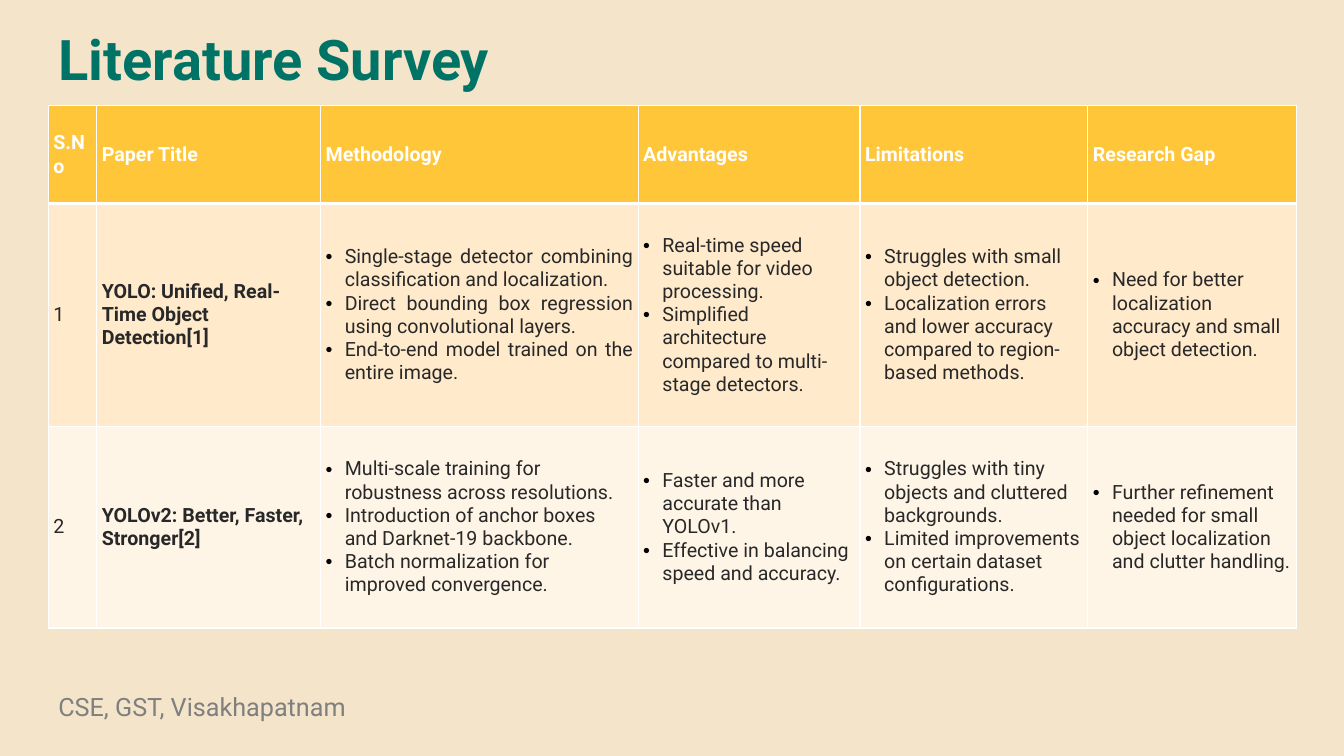
from lxml.etree import SubElement
from pptx import Presentation
from pptx.dml.color import RGBColor
from pptx.enum.text import MSO_ANCHOR, PP_ALIGN
from pptx.oxml.ns import qn
from pptx.util import Inches, Pt

TITLE = "Literature Survey"
FOOTER = "CSE, GST, Visakhapatnam"
HEADINGS = ["S.No", "Paper Title", "Methodology", "Advantages", "Limitations", "Research Gap"]
PAPERS = [
    ["1", "YOLO: Unified, Real-Time Object Detection[1]",
     ["Single-stage detector combining classification and localization.",
      "Direct bounding box regression using convolutional layers.",
      "End-to-end model trained on the entire image."],
     ["Real-time speed suitable for video processing.",
      "Simplified architecture compared to multi-stage detectors."],
     ["Struggles with small object detection.",
      "Localization errors and lower accuracy compared to region-based methods."],
     ["Need for better localization accuracy and small object detection."]],
    ["2", "YOLOv2: Better, Faster, Stronger[2]",
     ["Multi-scale training for robustness across resolutions.",
      "Introduction of anchor boxes and Darknet-19 backbone.",
      "Batch normalization for improved convergence."],
     ["Faster and more accurate than YOLOv1.",
      "Effective in balancing speed and accuracy."],
     ["Struggles with tiny objects and cluttered backgrounds.",
      "Limited improvements on certain dataset configurations."],
     ["Further refinement needed for small object localization and clutter handling."]],
]

SAND = RGBColor(0xF4, 0xE4, 0xC9)
TEAL = RGBColor(0x00, 0x73, 0x67)
GRAY = RGBColor(0x7F, 0x7F, 0x7F)
INK = RGBColor(0x28, 0x28, 0x28)
BLACK = RGBColor(0, 0, 0)
WHITE = RGBColor(0xFF, 0xFF, 0xFF)
ROW_FILLS = [RGBColor(0xFF, 0xC6, 0x39), RGBColor(0xFF, 0xEA, 0xCC), RGBColor(0xFF, 0xF5, 0xE7)]

FONT = "Roboto"
LEFT = 0.48
COLUMNS = [0.48, 2.22, 3.15, 2.2, 2.26, 2.07]
ROWS = [0.97, 2.21, 2]
METHODOLOGY = HEADINGS.index("Methodology")
INDENT = Inches(0.19)


def add_color(parent, color):
    SubElement(SubElement(parent, qn("a:solidFill")), qn("a:srgbClr"), val=str(color))


def add_bullet(paragraph):
    properties = paragraph._p.get_or_add_pPr()
    properties.set("marL", str(INDENT))
    properties.set("indent", str(-INDENT))
    bullet_color = SubElement(properties, qn("a:buClr"))
    SubElement(bullet_color, qn("a:srgbClr"), val=str(BLACK))
    SubElement(properties, qn("a:buFont"), typeface="Arial")
    SubElement(properties, qn("a:buChar"), char="•")


def write(frame, text, size=14, color=INK, bold=False, align=PP_ALIGN.LEFT):
    bulleted = isinstance(text, list)
    for index, line in enumerate(text if bulleted else [text]):
        paragraph = frame.add_paragraph() if index else frame.paragraphs[0]
        paragraph.alignment = align
        if bulleted:
            add_bullet(paragraph)
        run = paragraph.add_run()
        run.text = line
        run.font.name = FONT
        run.font.size = Pt(size)
        run.font.bold = bold
        run.font.color.rgb = color


def add_label(slide, text, top, width, height, **style):
    box = slide.shapes.add_textbox(*map(Inches, (LEFT, top, width, height)))
    box.text_frame.word_wrap = True
    write(box.text_frame, text, **style)


def format_cell(cell, row):
    cell.vertical_anchor = MSO_ANCHOR.MIDDLE
    cell.margin_left = cell.margin_right = Inches(0.05)
    cell.margin_top = cell.margin_bottom = Inches(0.02)
    widths = {"lnL": 1, "lnR": 1, "lnT": 3 if row == 1 else 1, "lnB": 3 if row == 0 else 1}
    for side, width in widths.items():
        border = SubElement(cell._tc.get_or_add_tcPr(), qn(f"a:{side}"), w=str(Pt(width)))
        add_color(border, WHITE)
    cell.fill.solid()
    cell.fill.fore_color.rgb = ROW_FILLS[row]


def add_survey(slide):
    frame = slide.shapes.add_table(
        len(ROWS), len(COLUMNS), Inches(LEFT), Inches(1.05),
        Inches(sum(COLUMNS)), Inches(sum(ROWS)))
    survey = frame.table
    survey.first_row = survey.horz_banding = False
    for column, width in zip(survey.columns, COLUMNS):
        column.width = Inches(width)
    for row, height in zip(survey.rows, ROWS):
        row.height = Inches(height)
    for row, entries in enumerate([HEADINGS, *PAPERS]):
        for column, entry in enumerate(entries):
            cell = survey.cell(row, column)
            format_cell(cell, row)
            justified = row == 1 and column == METHODOLOGY
            write(cell.text_frame, entry,
                  color=INK if row else WHITE,
                  bold=row == 0 or column == 1,
                  align=PP_ALIGN.JUSTIFY if justified else PP_ALIGN.LEFT)


def main():
    deck = Presentation()
    deck.slide_width, deck.slide_height = Inches(13.33), Inches(7.5)
    slide = deck.slides.add_slide(deck.slide_layouts[6])
    slide.background.fill.solid()
    slide.background.fill.fore_color.rgb = SAND
    add_label(slide, FOOTER, 6.81, 5.24, 0.4, size=18, color=GRAY)
    add_label(slide, TITLE, 0.19, 6.67, 0.77, size=40, color=TEAL, bold=True)
    add_survey(slide)
    deck.save("out.pptx")


if __name__ == "__main__":
    main()
